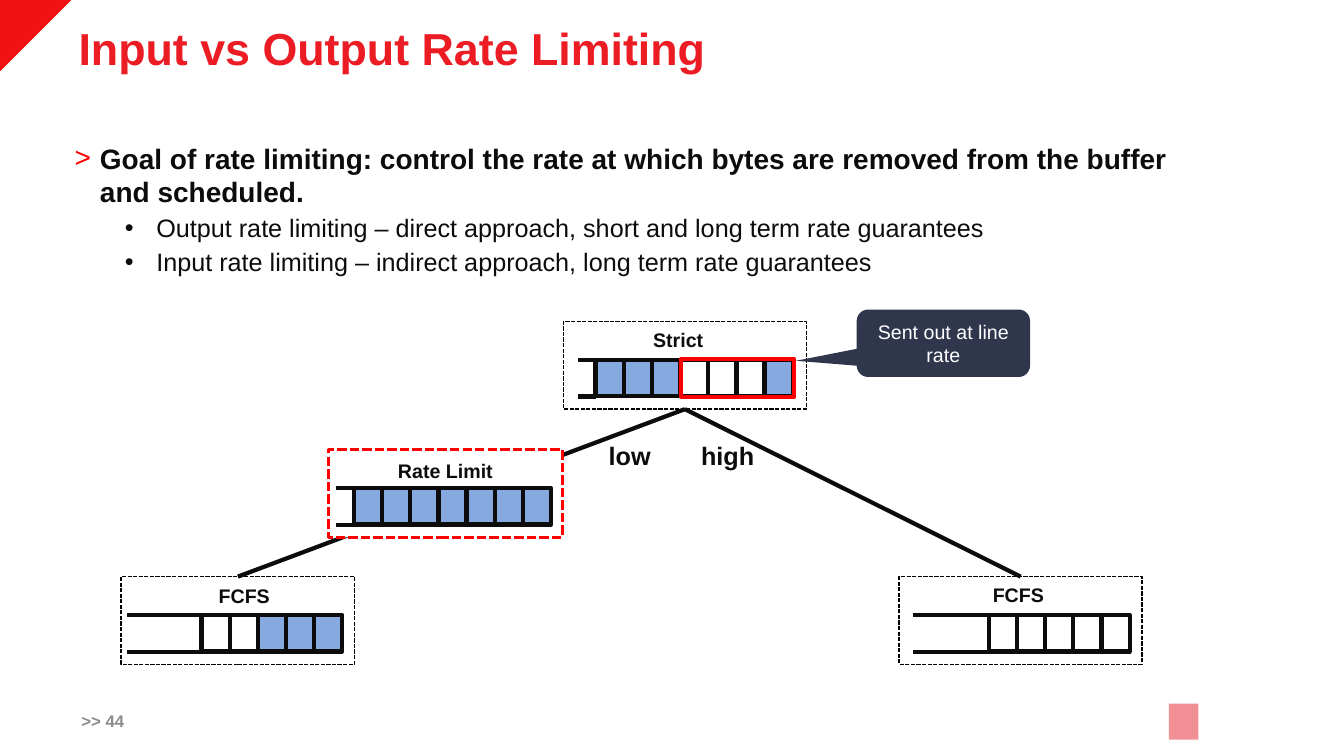
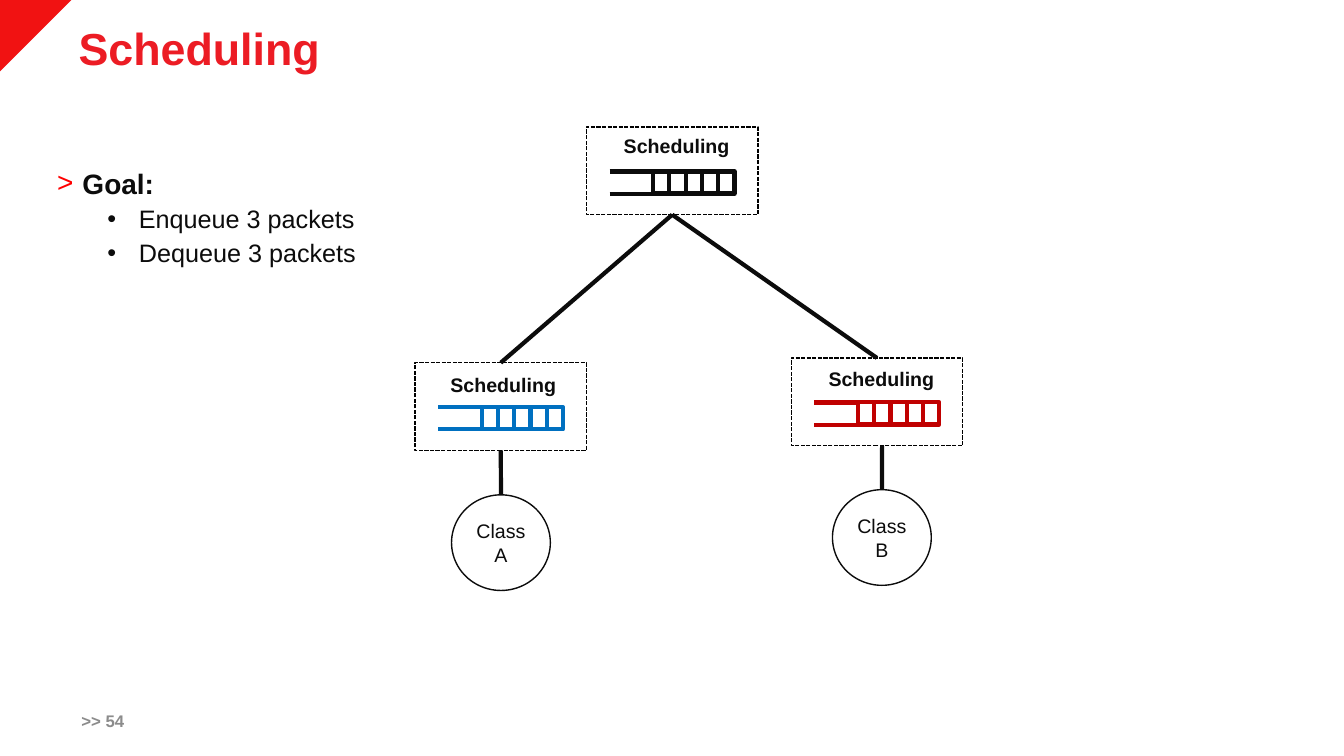
from dataclasses import dataclass
from typing import Optional

from lxml.etree import SubElement
from pptx import Presentation
from pptx.dml.color import RGBColor
from pptx.enum.dml import MSO_LINE_DASH_STYLE as Dash
from pptx.enum.shapes import MSO_CONNECTOR_TYPE as Connector, MSO_SHAPE as Shape
from pptx.enum.text import MSO_ANCHOR as Anchor, PP_ALIGN as Align
from pptx.oxml.ns import qn
from pptx.util import Cm, Pt

TOP, BOTTOM = 0, 2  # connection sites


@dataclass(frozen=True)
class Theme:
    font: str = "Arial"
    ink: str = "0C0C0C"
    black: str = "000000"
    white: str = "FFFFFF"
    title: str = "EC1C24"
    corner: str = "F11212"
    accent: str = "FF0000"
    footer: str = "8C8C8C"
    marker: str = "F09095"
    packet: str = "86A9DF"
    callout: str = "30364B"
    blue: str = "0070C0"
    dark_red: str = "C00000"
    title_size: float = 32
    body_size: float = 20
    point_size: float = 18
    label_size: float = 14
    footer_size: float = 12
    thin: float = 1
    medium: float = 2.25
    thick: float = 3


THEME = Theme()


@dataclass(frozen=True)
class Box:
    """Position and size in centimetres."""
    left: float
    top: float
    width: float
    height: float

    def lengths(self) -> tuple:
        return Cm(self.left), Cm(self.top), Cm(self.width), Cm(self.height)


@dataclass(frozen=True)
class TextStyle:
    size: float
    color: str = THEME.ink
    bold: bool = False


@dataclass(frozen=True)
class Bullet:
    symbol: str
    color: str
    margin: float
    hanging: float
    before: float
    spacing: float
    level: int
    style: TextStyle


@dataclass(frozen=True)
class CellSize:
    width: float
    height: float
    offset: float  # distance from the top of the node


@dataclass(frozen=True)
class Node:
    """A dashed box with a label and a queue; inner positions are offsets."""
    box: Box
    label: str
    label_left: float
    label_top: float
    rail_left: float
    cells_left: float
    cell: CellSize
    cell_count: int = 5
    filled: tuple = ()
    queue_color: str = THEME.ink
    border: str = THEME.black
    border_width: float = THEME.thin
    fill: Optional[str] = None


LABEL = TextStyle(THEME.label_size, bold=True)
GOAL = Bullet("˃", THEME.accent, 0.64, 0.64, 12, 1, 0,
              TextStyle(THEME.body_size, bold=True))
POINT = Bullet("•", THEME.ink, 2.06, 0.79, 5, 0.9, 1,
               TextStyle(THEME.point_size))
LARGE_CELL = CellSize(0.71, 0.92, 0.97)
SMALL_CELL = CellSize(0.41, 0.56, 1.12)


# Basic drawing
def rgb(color: str) -> RGBColor:
    return RGBColor.from_string(color)


def add_run(paragraph, text: str, style: TextStyle) -> None:
    run = paragraph.add_run()
    run.text = text
    run.font.name = THEME.font
    run.font.size = Pt(style.size)
    run.font.bold = style.bold
    run.font.color.rgb = rgb(style.color)


def paint(shape, fill: Optional[str], line: Optional[str], width: float) -> None:
    shape.shadow.inherit = False
    if fill:
        shape.fill.solid()
        shape.fill.fore_color.rgb = rgb(fill)
    else:
        shape.fill.background()
    if line:
        shape.line.color.rgb = rgb(line)
        shape.line.width = Pt(width)
    else:
        shape.line.fill.background()


def add_shape(slide, box: Box, kind=Shape.RECTANGLE, fill: Optional[str] = None,
              line: Optional[str] = None, width: float = THEME.thick):
    shape = slide.shapes.add_shape(kind, *box.lengths())
    paint(shape, fill, line, width)
    return shape


def add_centred_text(shape, text: str, color: str) -> None:
    frame = shape.text_frame
    frame.word_wrap = True
    frame.vertical_anchor = Anchor.MIDDLE
    frame.margin_left = frame.margin_right = Cm(0.2)
    paragraph = frame.paragraphs[0]
    paragraph.alignment = Align.CENTER
    add_run(paragraph, text, TextStyle(THEME.label_size, color))


def add_text(slide, box: Box, text: str, style: TextStyle,
             anchor=Anchor.TOP, spacing: float = 1) -> None:
    frame = slide.shapes.add_textbox(*box.lengths()).text_frame
    frame.word_wrap = True
    frame.vertical_anchor = anchor
    paragraph = frame.paragraphs[0]
    paragraph.line_spacing = spacing
    add_run(paragraph, text, style)


def add_line(slide, start: tuple, end: tuple, color: str = THEME.ink):
    connector = slide.shapes.add_connector(
        Connector.STRAIGHT, *(Cm(value) for value in start + end))
    connector.line.color.rgb = rgb(color)
    connector.line.width = Pt(THEME.thick)
    SubElement(connector._element.spPr, qn("a:effectLst"))
    return connector


def join(slide, upper, lower) -> None:
    connector = add_line(slide, (0, 0), (1, 1))
    connector.begin_connect(upper, BOTTOM)
    connector.end_connect(lower, TOP)


# Bulleted body
def add_bullet(paragraph, text: str, bullet: Bullet) -> None:
    paragraph.level = bullet.level
    paragraph.space_before = Pt(bullet.before)
    paragraph.line_spacing = bullet.spacing
    properties = paragraph._p.get_or_add_pPr()
    properties.set("marL", str(Cm(bullet.margin)))
    properties.set("indent", str(-Cm(bullet.hanging)))
    color = SubElement(properties, qn("a:buClr"))
    SubElement(color, qn("a:srgbClr")).set("val", bullet.color)
    SubElement(properties, qn("a:buFont")).set("typeface", THEME.font)
    SubElement(properties, qn("a:buChar")).set("char", bullet.symbol)
    add_run(paragraph, text, bullet.style)


def add_body(slide, box: Box, goal: str, points: list[str]) -> None:
    frame = slide.shapes.add_textbox(*box.lengths()).text_frame
    frame.word_wrap = True
    add_bullet(frame.paragraphs[0], goal, GOAL)
    for point in points:
        add_bullet(frame.add_paragraph(), point, POINT)


# Scheduler node: border, label, rails and cells
def add_node(slide, node: Node):
    box, cell = node.box, node.cell
    border = add_shape(slide, box, fill=node.fill, line=node.border,
                       width=node.border_width)
    border.line.dash_style = Dash.SQUARE_DOT
    add_text(slide, Box(box.left + node.label_left, box.top + node.label_top, 3.4, 0.86),
             node.label, LABEL)
    top = box.top + cell.offset
    first = box.left + node.cells_left
    for rail in (top, top + cell.height):
        add_line(slide, (box.left + node.rail_left, rail), (first, rail), node.queue_color)
    for index in range(node.cell_count):
        add_shape(slide, Box(first + index * cell.width, top, cell.width, cell.height),
                  fill=THEME.packet if index in node.filled else None,
                  line=node.queue_color)
    return border


# Parts shared by the slides
def start_slide(presentation, title: str, number: int):
    slide = presentation.slides.add_slide(presentation.slide_layouts[6])
    side = Cm(1.8)
    builder = slide.shapes.build_freeform(side, 0)
    builder.add_line_segments([(0, 0), (0, side)], close=True)
    paint(builder.convert_to_shape(), THEME.corner, None, 0)
    add_text(slide, Box(1.73, 0.58, 29.29, 1.4), title,
             TextStyle(THEME.title_size, THEME.title, True), Anchor.MIDDLE, 0.9)
    add_text(slide, Box(1.8, 17.65, 2.51, 1.02), f">> {number}",
             TextStyle(THEME.footer_size, THEME.footer, True), Anchor.MIDDLE)
    return slide


def build_rate_limiting(presentation) -> None:
    slide = start_slide(presentation, "Input vs Output Rate Limiting", 44)
    add_shape(slide, Box(29.46, 17.73, 0.74, 0.91), fill=THEME.marker)
    add_body(slide, Box(1.63, 3.43, 29.21, 3.96),
             "Goal of rate limiting: control the rate at which bytes are removed "
             "from the buffer and scheduled.",
             ["Output rate limiting – direct approach, short and long term rate guarantees",
              "Input rate limiting – indirect approach, long term rate guarantees"])

    # Tree
    strict = add_node(slide, Node(Box(14.2, 8.1, 6.12, 2.21), "Strict", 2.01, 0.05,
                                  0.36, 0.81, LARGE_CELL, 7, (0, 1, 2, 6)))
    low = add_node(slide, Node(Box(3.05, 14.53, 5.89, 2.21), "FCFS", 2.21, 0.05,
                               0.15, 2.03, LARGE_CELL, filled=(2, 3, 4)))
    high = add_node(slide, Node(Box(22.66, 14.53, 6.12, 2.21), "FCFS", 2.11, 0.03,
                                0.36, 2.26, LARGE_CELL))
    join(slide, strict, low)
    join(slide, strict, high)
    add_node(slide, Node(Box(8.28, 11.33, 5.89, 2.21), "Rate Limit", 1.5, 0.1,
                         0.18, 0.64, LARGE_CELL, 7, tuple(range(7)),
                         border=THEME.accent, border_width=THEME.medium,
                         fill=THEME.white))
    for text, left in (("low", 15.09), ("high", 17.42)):
        add_text(slide, Box(left, 10.96, 2, 1.02), text,
                 TextStyle(THEME.point_size, bold=True))

    # Highlighted packets and callout
    add_shape(slide, Box(17.17, 9.04, 2.84, 0.97), line=THEME.accent)
    callout = add_shape(slide, Box(21.59, 7.8, 4.37, 1.7),
                        Shape.ROUNDED_RECTANGULAR_CALLOUT, fill=THEME.callout)
    for index, value in enumerate((-0.85, 0.26, 0.17)):
        callout.adjustments[index] = value
    add_centred_text(callout, "Sent out at line rate", THEME.white)


def build_scheduling(presentation) -> None:
    slide = start_slide(presentation, "Scheduling", 54)

    # Tree
    root, left, right = (
        add_node(slide, Node(Box(x, y, 4.32, 2.21), "Scheduling", label_left, label_top,
                             0.58, 1.68, SMALL_CELL, queue_color=color))
        for x, y, label_left, label_top, color in (
            (14.78, 3.2, 0.69, 0.05, THEME.ink),
            (10.46, 9.14, 0.64, 0.13, THEME.blue),
            (19.94, 9.02, 0.69, 0.1, THEME.dark_red)))
    join(slide, root, left)
    join(slide, root, right)

    # Traffic classes
    class_a, class_b = (
        add_shape(slide, Box(x, y, 2.49, 2.41), Shape.OVAL, line=THEME.ink, width=THEME.thin)
        for x, y in ((11.38, 12.47), (20.98, 12.34)))
    add_centred_text(class_a, "Class A", THEME.ink)
    add_centred_text(class_b, "Class B", THEME.ink)
    join(slide, left, class_a)
    add_line(slide, (22.23, 11.23), (22.23, 12.34)).end_connect(class_b, TOP)

    add_body(slide, Box(1.19, 4.06, 13.21, 13.21), "Goal:",
             ["Enqueue 3 packets", "Dequeue 3 packets"])


def main() -> None:
    presentation = Presentation()
    presentation.slide_width = Cm(33.87)
    presentation.slide_height = Cm(19.05)
    build_rate_limiting(presentation)
    build_scheduling(presentation)
    presentation.save("out.pptx")


if __name__ == "__main__":
    main()
